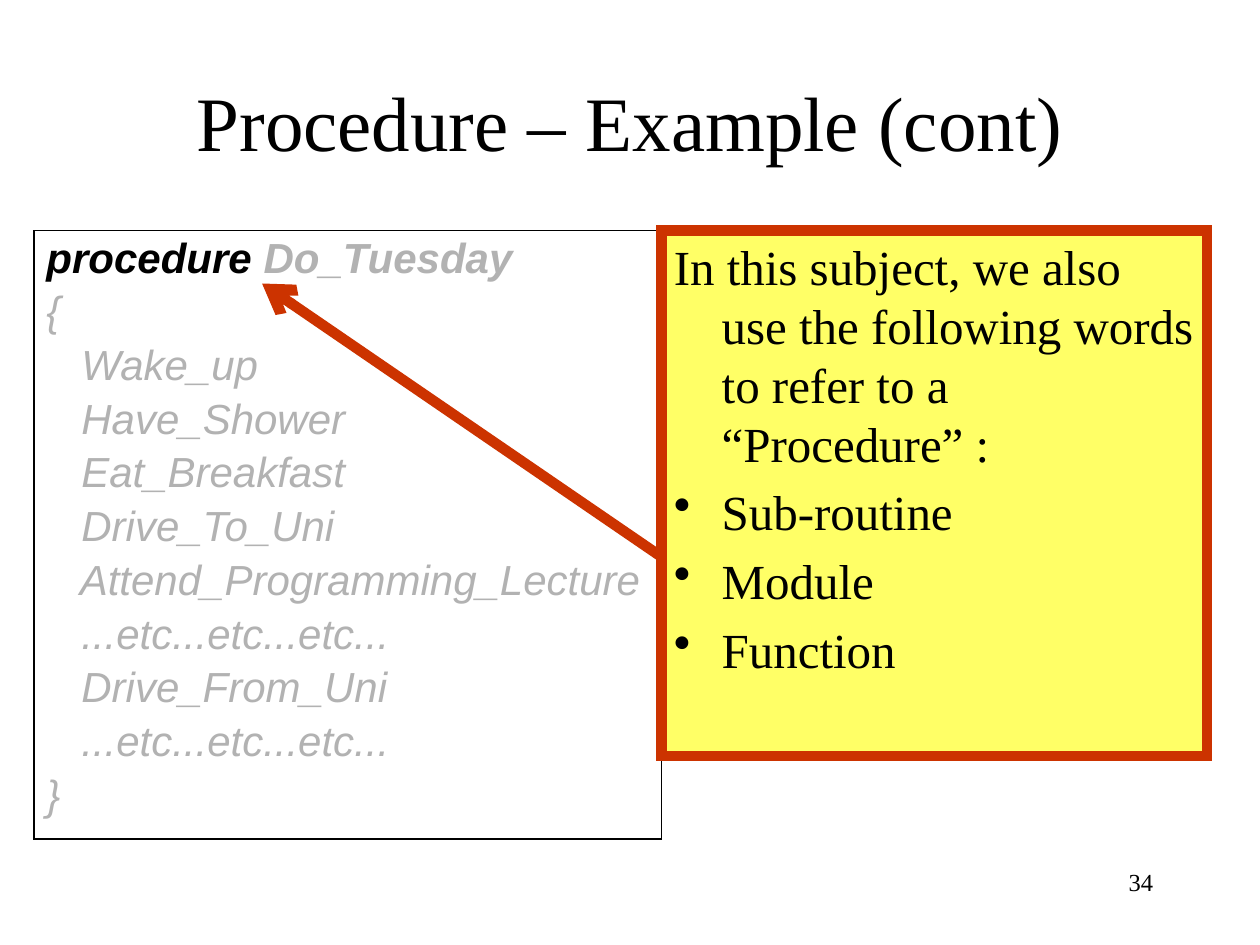
from pptx import Presentation
from pptx.dml.color import RGBColor
from pptx.enum.shapes import MSO_CONNECTOR, MSO_SHAPE
from pptx.enum.text import MSO_ANCHOR, PP_ALIGN
from pptx.oxml.ns import qn
from pptx.util import Inches, Pt
from lxml.etree import SubElement

BLACK = RGBColor(0x00, 0x00, 0x00)
GREY = RGBColor(0xB2, 0xB2, 0xB2)
YELLOW = RGBColor(0xFF, 0xFF, 0x66)
RED = RGBColor(0xCC, 0x33, 0x00)
SERIF = "Times New Roman"
CODE_LINES = [
    "{",
    "   Wake_up",
    "   Have_Shower",
    "   Eat_Breakfast",
    "   Drive_To_Uni",
    "   Attend_Programming_Lecture",
    "   ...etc...etc...etc...",
    "   Drive_From_Uni",
    "   ...etc...etc...etc...",
    "}",
]
INTRODUCTION = "In this subject, we also use the following words to refer to a “Procedure” :"
SYNONYMS = ["Sub-routine", "Module", "Function"]

presentation = Presentation()
presentation.slide_width = Inches(10)
presentation.slide_height = Inches(7.5)
slide = presentation.slides.add_slide(presentation.slide_layouts[5])
box_top = Inches(1.83)
box_divide = Inches(5.25)


def style_font(paragraph, name, size, color):
    paragraph.font.name = name
    paragraph.font.size = Pt(size)
    paragraph.font.color.rgb = color


def add_box(left, width, height, line_color, line_width):
    box = slide.shapes.add_shape(MSO_SHAPE.RECTANGLE, left, box_top, width, height)
    box.shadow.inherit = False
    box.fill.background()
    box.line.color.rgb = line_color
    box.line.width = Pt(line_width)
    SubElement(box.line._get_or_add_ln(), qn("a:miter")).set("lim", "800000")
    box.text_frame.word_wrap = True
    box.text_frame.vertical_anchor = MSO_ANCHOR.TOP
    return box


page_number = slide.shapes.add_textbox(Inches(7.17), Inches(6.83), Inches(2.08), Inches(0.5))
page_number.text_frame.word_wrap = True
paragraph = page_number.text_frame.paragraphs[0]
paragraph.text = "34"
paragraph.alignment = PP_ALIGN.RIGHT
style_font(paragraph, SERIF, 14, BLACK)

title = slide.shapes.title
title.left, title.top = Inches(0.75), Inches(0.5)
title.width, title.height = Inches(8.5), Inches(0.92)
title.text_frame.text = "Procedure – Example (cont)"
title.text_frame.vertical_anchor = MSO_ANCHOR.MIDDLE
paragraph = title.text_frame.paragraphs[0]
paragraph.alignment = PP_ALIGN.CENTER
style_font(paragraph, SERIF, 44, BLACK)

code_left = Inches(0.27)
code_box = add_box(code_left, box_divide - code_left, Inches(4.83), BLACK, 0.75)
code_frame = code_box.text_frame
heading = code_frame.paragraphs[0]
keyword = heading.add_run()
keyword.text = "procedure "
keyword.font.color.rgb = BLACK
heading.add_run().text = "Do_Tuesday"
for line in CODE_LINES:
    code_frame.add_paragraph().text = line
for index, paragraph in enumerate(code_frame.paragraphs):
    paragraph.alignment = PP_ALIGN.LEFT
    paragraph.line_spacing = 0.9
    paragraph.space_before = Pt(4.8 if index else 0)
    style_font(paragraph, "Arial", 24, GREY)
    paragraph.font.italic = True
    paragraph.font.bold = index == 0

synonym_box = add_box(box_divide, Inches(4.33), Inches(4.17), RED, 6)
synonym_box.fill.solid()
synonym_box.fill.fore_color.rgb = YELLOW
synonym_frame = synonym_box.text_frame
synonym_frame.text = INTRODUCTION
for synonym in SYNONYMS:
    synonym_frame.add_paragraph().text = synonym
for index, paragraph in enumerate(synonym_frame.paragraphs):
    paragraph.alignment = PP_ALIGN.LEFT
    paragraph.space_before = Pt(5.6 if index else 0)
    properties = paragraph._p.get_or_add_pPr()
    properties.set("marL", str(Inches(0.38)))
    properties.set("indent", str(-Inches(0.38)))
    if index:
        SubElement(properties, qn("a:buChar")).set("char", "•")
    style_font(paragraph, SERIF, 28, BLACK)

arrow = slide.shapes.add_connector(
    MSO_CONNECTOR.STRAIGHT, Inches(2.08), Inches(2.25), box_divide, Inches(4.42)
)
arrow.line.color.rgb = RED
arrow.line.width = Pt(6)
arrow_line = arrow.line._get_or_add_ln()
SubElement(arrow_line, qn("a:miter")).set("lim", "800000")
SubElement(arrow_line, qn("a:headEnd")).set("type", "arrow")
SubElement(arrow._element.spPr, qn("a:effectLst"))

presentation.save("out.pptx")
